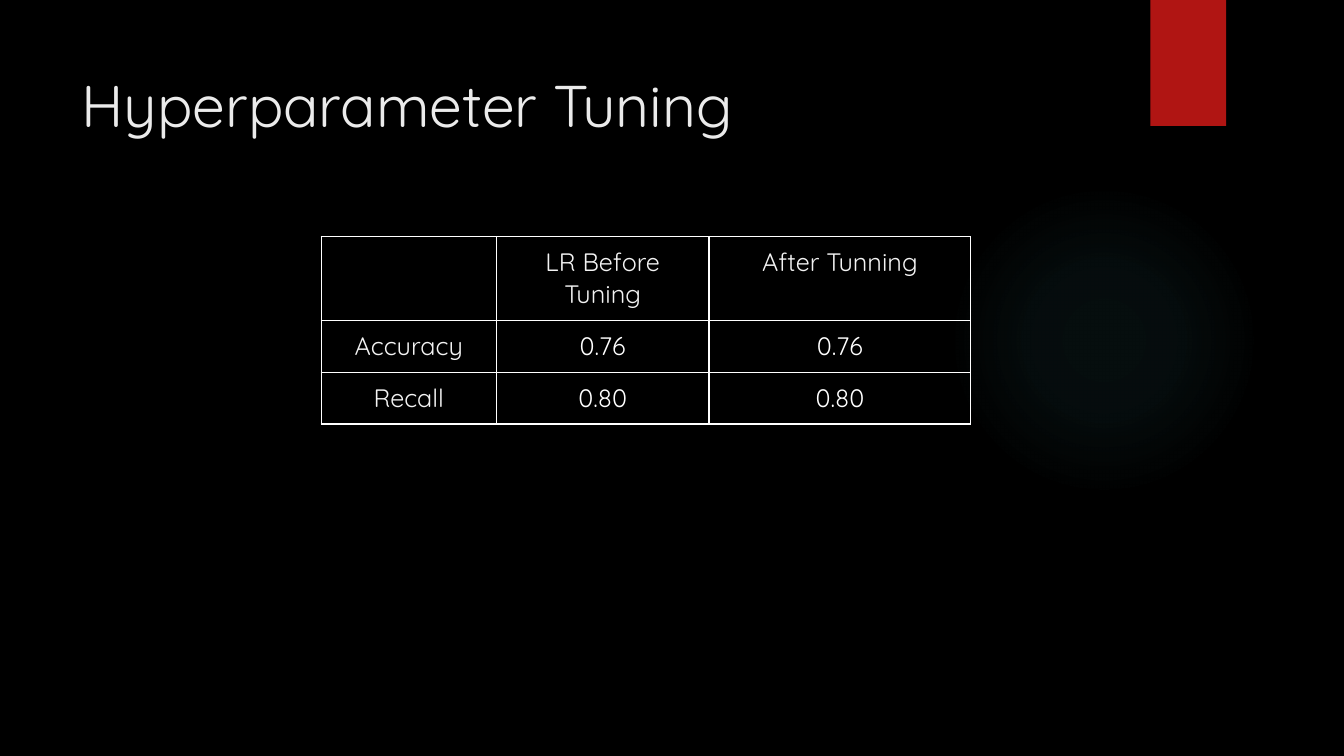
from lxml.etree import SubElement
from pptx import Presentation
from pptx.dml.color import RGBColor
from pptx.enum.shapes import MSO_SHAPE
from pptx.enum.text import MSO_ANCHOR, PP_ALIGN
from pptx.oxml import parse_xml
from pptx.oxml.ns import nsdecls, qn
from pptx.util import Pt

TITLE = "Hyperparameter Tuning"
RESULTS = [
    ["", "LR Before Tuning", "After Tunning"],
    ["Accuracy", "0.76", "0.76"],
    ["Recall", "0.80", "0.80"],
]
THEME = {
    "font": "Quicksand",
    "background": "000000",
    "glow": "50B9C1",
    "ribbon": "B01513",
    "title": "EBEBEB",
    "label": "F3F3F3",
    "value": "FFFFFF",
    "border": "FFFFFF",
    "title_size": 42,
    "table_size": 18,
}
SLIDE_SIZE = (960, 540)
GLOW_BOX = (677.5, 131.8, 221.8, 221.8)
GLOW_STOPS = [(0, 7), (36, 6), (69, 0)]
RIBBON_BOX = (821.8, 0, 54, 90)
TITLE_BOX = (51.1, 43.9, 740.9, 60.5)
TABLE_ORIGIN = (229.5, 168.9)
COLUMN_WIDTHS = [125, 152, 187]
ROW_HEIGHTS = [60, 36.9, 36.9]
CELL_MARGIN = 7.2
BORDER_WIDTH = 1


def set_all(target, values):
    for name, value in values.items():
        setattr(target, name, value)


def points(values):
    return [Pt(value) for value in values]


def style_font(font, size, color):
    set_all(font, {"name": THEME["font"], "size": Pt(THEME[size]), "bold": False})
    font.color.rgb = RGBColor.from_string(THEME[color])


def add_plain_shape(slide, kind, box):
    shape = slide.shapes.add_shape(kind, *points(box))
    shape.shadow.inherit = False
    shape.line.fill.background()
    return shape


def add_glow(slide):
    shape = add_plain_shape(slide, MSO_SHAPE.OVAL, GLOW_BOX)
    stops = "".join(
        f'<a:gs pos="{position * 1000}"><a:srgbClr val="{THEME["glow"]}">'
        f'<a:alpha val="{alpha * 1000}"/></a:srgbClr></a:gs>'
        for position, alpha in GLOW_STOPS
    )
    gradient = parse_xml(
        f'<a:gradFill {nsdecls("a")}><a:gsLst>{stops}</a:gsLst><a:path path="circle">'
        '<a:fillToRect l="50000" t="50000" r="50000" b="50000"/></a:path></a:gradFill>'
    )
    shape.element.spPr.find(qn("a:prstGeom")).addnext(gradient)


def add_ribbon(slide):
    shape = add_plain_shape(slide, MSO_SHAPE.RECTANGLE, RIBBON_BOX)
    shape.fill.solid()
    shape.fill.fore_color.rgb = RGBColor.from_string(THEME["ribbon"])


def add_title(slide):
    title = slide.shapes.title
    set_all(title, dict(zip(("left", "top", "width", "height"), points(TITLE_BOX))))
    title.text = TITLE
    set_all(title.text_frame, {"vertical_anchor": MSO_ANCHOR.MIDDLE, "word_wrap": True})
    paragraph = title.text_frame.paragraphs[0]
    paragraph.alignment = PP_ALIGN.LEFT
    style_font(paragraph.runs[0].font, "title_size", "title")


def add_borders(cell):
    properties = cell._tc.get_or_add_tcPr()
    for side in ("lnL", "lnR", "lnT", "lnB"):
        line = SubElement(properties, qn(f"a:{side}"), w=str(Pt(BORDER_WIDTH)))
        fill = SubElement(line, qn("a:solidFill"))
        SubElement(fill, qn("a:srgbClr"), val=THEME["border"])


def fill_cell(cell, text, color):
    add_borders(cell)
    cell.fill.background()
    margin = Pt(CELL_MARGIN)
    set_all(cell, {
        "text": text,
        "margin_left": margin,
        "margin_right": margin,
        "margin_top": margin,
        "margin_bottom": margin,
        "vertical_anchor": MSO_ANCHOR.TOP,
    })
    paragraph = cell.text_frame.paragraphs[0]
    paragraph.alignment = PP_ALIGN.CENTER
    style_font(paragraph.font, "table_size", color)
    for run in paragraph.runs:
        style_font(run.font, "table_size", color)


def add_results(slide):
    size = (sum(COLUMN_WIDTHS), sum(ROW_HEIGHTS))
    table = slide.shapes.add_table(
        len(RESULTS), len(RESULTS[0]), *points(TABLE_ORIGIN + size)
    ).table
    set_all(table, {"first_row": False, "horz_banding": False})
    for column, width in zip(table.columns, COLUMN_WIDTHS):
        column.width = Pt(width)
    for row, height in zip(table.rows, ROW_HEIGHTS):
        row.height = Pt(height)
    for row_index, texts in enumerate(RESULTS):
        for column_index, text in enumerate(texts):
            color = "value" if row_index and column_index else "label"
            fill_cell(table.cell(row_index, column_index), text, color)


def main():
    presentation = Presentation()
    set_all(presentation, dict(zip(("slide_width", "slide_height"), points(SLIDE_SIZE))))
    slide = presentation.slides.add_slide(presentation.slide_layouts[5])
    slide.background.fill.solid()
    slide.background.fill.fore_color.rgb = RGBColor.from_string(THEME["background"])
    add_glow(slide)
    add_ribbon(slide)
    add_title(slide)
    add_results(slide)
    presentation.save("out.pptx")


if __name__ == "__main__":
    main()
